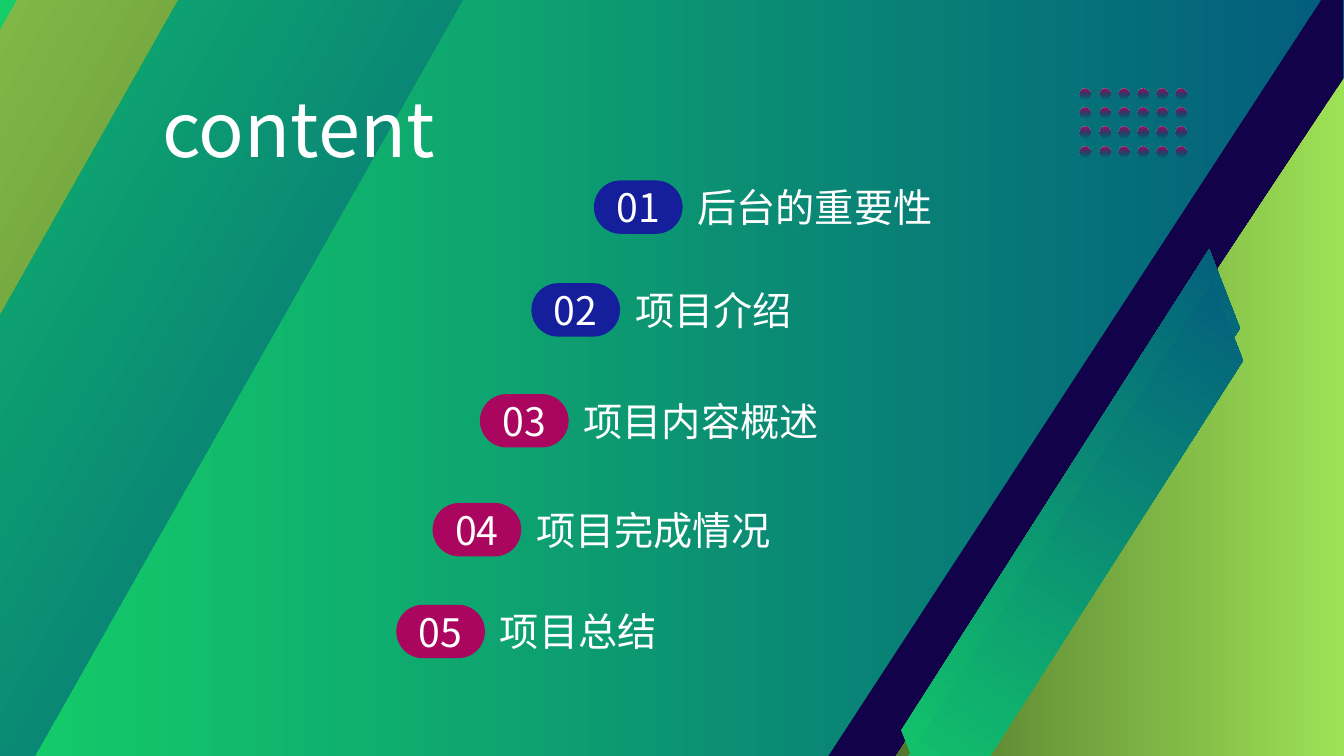
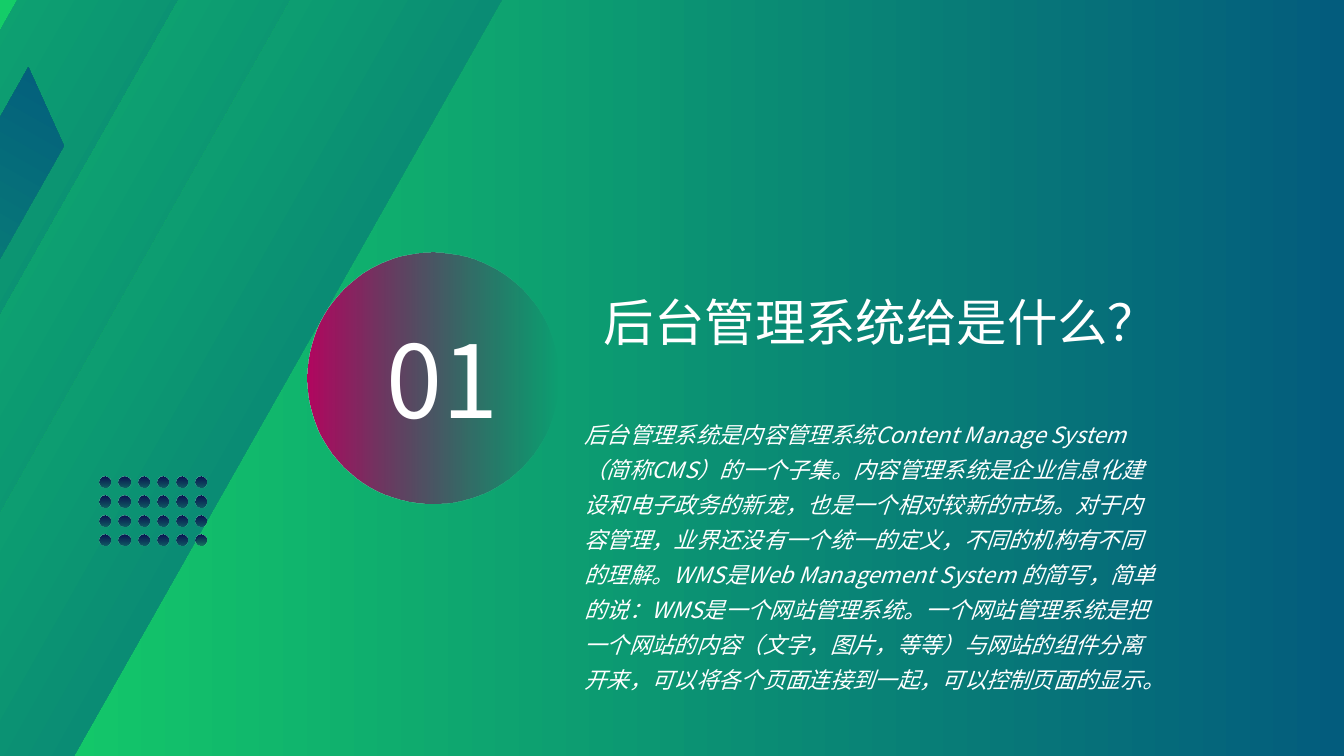
from dataclasses import dataclass
from itertools import product

from lxml import etree
from pptx import Presentation
from pptx.dml.color import RGBColor
from pptx.enum import shapes, text
from pptx.oxml import ns
from pptx.util import Inches, Pt

SHAPE = shapes.MSO_SHAPE


# Theme: colours, gradients (colour, opacity %) and type sizes
@dataclass(frozen=True)
class Theme:
    font: str = "Noto Sans CJK SC"
    white: str = "FFFFFF"
    navy: str = "120249"
    blue: str = "151F9B"
    magenta: str = "AB065F"
    ocean: tuple = (("14CD68", 100), ("035C7D", 100))
    olive: tuple = (("9EE256", 100), ("52762D", 100))
    magenta_dot: tuple = (("120249", 0), ("B30660", 100))
    navy_dot: tuple = (("120249", 36), ("0B1051", 100))
    badge: tuple = (("B30660", 100), ("570152", 0))
    title: int = 54
    heading: int = 36
    item: int = 28
    body: int = 16
    number: int = 72
    number_gap: int = 32


THEME = Theme()

# Content
AGENDA_TITLE = "content"
AGENDA = [  # number, topic, left, top, pill colour
    ("01", "后台的重要性", 5.89, 1.79, THEME.blue),
    ("02", "项目介绍", 5.27, 2.81, THEME.blue),
    ("03", "项目内容概述", 4.76, 3.91, THEME.magenta),
    ("04", "项目完成情况", 4.29, 4.99, THEME.magenta),
    ("05", "项目总结", 3.93, 6, THEME.magenta),
]
SECTION_NUMBER = "01"
SECTION_HEADING = "后台管理系统给是什么？"
SECTION_BODY = (
    "后台管理系统是内容管理系统Content Manage System（简称CMS）的一个子集。"
    "内容管理系统是企业信息化建设和电子政务的新宠，也是一个相对较新的市场。"
    "对于内容管理，业界还没有一个统一的定义，不同的机构有不同的理解。"
    "WMS是Web Management System 的简写，简单的说：WMS是一个网站管理系统。"
    "一个网站管理系统是把一个网站的内容（文字，图片，等等）与网站的组件分离开来，"
    "可以将各个页面连接到一起，可以控制页面的显示。"
)

# Diagonal bands
OUTER_BAND = (-1.67, -1.9, 2.45, 10.96)
INNER_BAND = (-0.32, -1.46, 2.45, 10.96)
THIRD_BAND = (0.7, -1.69, 1.82, 11.58)
BAND_TILT = 29.5
RIBBON_SLANT = 0.73
DOT_SIZE, DOT_STEP, DOT_COLUMNS, DOT_ROWS = 0.11, 0.19, 6, 4


# Fills and shapes
def paint(fill, colour, angle=0):
    if isinstance(colour, str):
        fill.solid()
        fill.fore_color.rgb = RGBColor.from_string(colour)
        return
    fill.gradient()
    fill.gradient_angle = angle
    for stop, (rgb, opacity) in zip(fill.gradient_stops, colour):
        stop.color.rgb = RGBColor.from_string(rgb)
        if opacity < 100:
            for node in fill._xPr.iter(ns.qn("a:srgbClr")):
                if node.get("val") == rgb:
                    etree.SubElement(node, ns.qn("a:alpha"), val=str(opacity * 1000))


def add_figure(slide, kind, box, colour, rotation=0, angle=0, slant=None):
    figure = slide.shapes.add_shape(kind, *map(Inches, box))
    figure.shadow.inherit = False
    figure.line.fill.background()
    paint(figure.fill, colour, angle)
    figure.rotation = rotation
    if slant is not None:
        figure.adjustments[0] = slant
    return figure


def add_corner(slide, box, colour):
    corner = add_figure(slide, SHAPE.RIGHT_TRIANGLE, box, colour)
    corner._element.spPr.xfrm.set("flipH", "1")


def add_band(slide, box, colour=THEME.ocean):
    add_figure(slide, SHAPE.RECTANGLE, box, colour, BAND_TILT)


def add_ribbon(slide, box, rotation):
    add_figure(slide, SHAPE.PARALLELOGRAM, box, THEME.ocean, rotation, slant=RIBBON_SLANT)


def add_dots(slide, left, top, colour):
    for row, column in product(range(DOT_ROWS), range(DOT_COLUMNS)):
        box = (left + column * DOT_STEP, top + row * DOT_STEP, DOT_SIZE, DOT_SIZE)
        add_figure(slide, SHAPE.OVAL, box, colour, angle=90)


# Text
def style(paragraph, size, italic=None):
    font = paragraph.font
    font.name, font.size, font.italic = THEME.font, Pt(size), italic
    font.color.rgb = RGBColor.from_string(THEME.white)
    etree.SubElement(font._element, ns.qn("a:ea"), typeface=THEME.font)


def add_label(slide, box, words, size, italic=None):
    frame = slide.shapes.add_textbox(*map(Inches, box)).text_frame
    frame.word_wrap = True
    frame.auto_size = text.MSO_AUTO_SIZE.SHAPE_TO_FIT_TEXT
    label = frame.paragraphs[0]
    label.text = words
    style(label, size, italic)
    return label


def add_slide(deck):
    slide = deck.slides.add_slide(deck.slide_layouts[6])
    paint(slide.background.fill, THEME.ocean)
    return slide


# Agenda slide
def build_agenda(deck):
    slide = add_slide(deck)
    add_corner(slide, (8.21, -0.33, 5.11, 7.84), THEME.navy)
    add_band(slide, OUTER_BAND, THEME.olive)
    add_band(slide, INNER_BAND)
    add_corner(slide, (8.87, 0.76, 4.47, 6.77), THEME.olive)
    for left, top in ((7.54, 4.91), (7.57, 5.23)):
        add_ribbon(slide, (left, top, 6.16, 0.68), 302.6)
    add_dots(slide, 10.71, 0.88, THEME.magenta_dot)
    add_label(slide, (1.51, 0.76, 4.68, 1.01), AGENDA_TITLE, THEME.title)

    for number, topic, left, top, colour in AGENDA:
        pill = add_figure(slide, SHAPE.ROUNDED_RECTANGLE, (left, top, 0.88, 0.53),
                          colour, slant=0.5)
        pill.text_frame.vertical_anchor = text.MSO_ANCHOR.MIDDLE
        digits = pill.text_frame.paragraphs[0]
        digits.text = number
        digits.alignment = text.PP_ALIGN.CENTER
        style(digits, THEME.item)
        add_label(slide, (left + 0.93, top - 0.02, 2.67, 0.57), topic, THEME.item)


# Section slide
def build_section(deck):
    slide = add_slide(deck)
    for box in (OUTER_BAND, INNER_BAND, THIRD_BAND):
        add_band(slide, box)
    add_ribbon(slide, (-4.97, 3.73, 7.44, 0.69), 299.5)
    add_dots(slide, 0.99, 4.73, THEME.navy_dot)

    add_figure(slide, SHAPE.OVAL, (3.05, 2.51, 2.49, 2.49), THEME.badge)
    number = add_label(slide, (3.47, 3.1, 1.74, 1.31), " ", THEME.number)
    number.alignment = text.PP_ALIGN.CENTER
    number.runs[0].font.size = Pt(THEME.number_gap)
    number.add_run().text = SECTION_NUMBER

    add_label(slide, (5.89, 2.84, 5.31, 0.71), SECTION_HEADING, THEME.heading)
    body = add_label(slide, (5.7, 4.05, 5.93, 2.9), SECTION_BODY, THEME.body, italic=True)
    body.line_spacing = 1.3


def main():
    deck = Presentation()
    deck.slide_width, deck.slide_height = Inches(13.33), Inches(7.5)
    build_agenda(deck)
    build_section(deck)
    deck.save("out.pptx")


if __name__ == "__main__":
    main()
